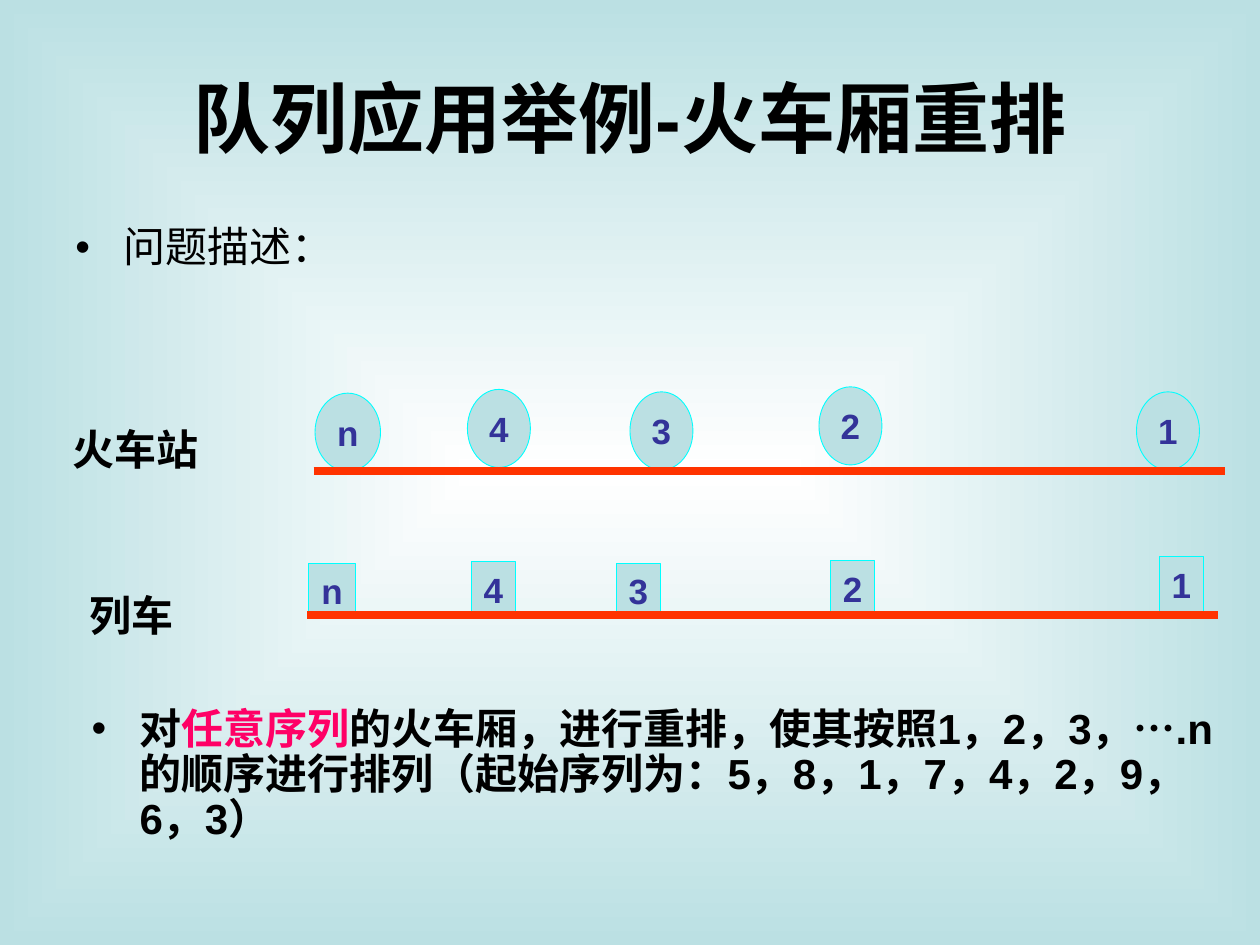
import dataclasses

import pptx
import pptx.dml.color
import pptx.enum.shapes
import pptx.enum.text
import pptx.oxml
import pptx.oxml.ns
import pptx.shapes.base
import pptx.slide
import pptx.text.text
import pptx.util
from lxml import etree

EMU_PER_PX = 9144
FONT = "Arial"
COLORS = {
    "black": "000000",
    "pink": "FF0066",
    "indigo": "333399",
    "cyan": "00FFFF",
    "pale": "BBE0E3",
    "white": "FFFFFF",
    "track": "FF3300",
}
RECTANGLE = pptx.enum.shapes.MSO_SHAPE.RECTANGLE
OVAL = pptx.enum.shapes.MSO_SHAPE.OVAL
CENTER = pptx.enum.text.PP_ALIGN.CENTER
MIDDLE = pptx.enum.text.MSO_ANCHOR.MIDDLE
GROW = pptx.enum.text.MSO_AUTO_SIZE.SHAPE_TO_FIT_TEXT


@dataclasses.dataclass(frozen=True)
class Box:
    left: int
    top: int
    width: int
    height: int


@dataclasses.dataclass(frozen=True)
class Car:
    label: str
    box: Box


@dataclasses.dataclass(frozen=True)
class Train:
    outline: pptx.enum.shapes.MSO_SHAPE
    cars: tuple[Car, ...]
    track_left: int
    track_top: int


@dataclasses.dataclass(frozen=True)
class TextRun:
    text: str
    size: int
    color: str = "black"
    bold: bool = True


TRACK_LENGTH = 723
TRAINS = (
    Train(RECTANGLE, (
        Car("n", Box(245, 447, 37, 44)),
        Car("4", Box(374, 446, 35, 44)),
        Car("3", Box(489, 447, 35, 44)),
        Car("2", Box(659, 445, 35, 44)),
        Car("1", Box(920, 442, 35, 44)),
    ), 244, 488),
    Train(OVAL, (
        Car("n", Box(250, 312, 52, 62)),
        Car("4", Box(371, 309, 50, 62)),
        Car("3", Box(500, 311, 50, 62)),
        Car("2", Box(650, 307, 50, 62)),
        Car("1", Box(902, 311, 50, 62)),
    ), 249, 374),
)
BULLETS = (
    (Box(50, 175, 900, 66), (TextRun("问题描述：", 24, bold=False),)),
    (Box(63, 557, 910, 144), (
        TextRun("对", 24),
        TextRun("任意序列", 24, "pink"),
        TextRun("的火车厢，进行重排，使其按照1，2，3，….n的顺序进行排列"
                "（起始序列为：5，8，1，7，4，2，9，6，3）", 24),
    )),
)
LABELS = (
    (Box(48, 331, 148, 50), "火车站"),
    (Box(61, 463, 148, 50), "列车"),
)


def px(length: int) -> pptx.util.Emu:
    return pptx.util.Emu(length * EMU_PER_PX)


def place(box: Box) -> tuple[pptx.util.Emu, ...]:
    return px(box.left), px(box.top), px(box.width), px(box.height)


def rgb(color: str) -> pptx.dml.color.RGBColor:
    return pptx.dml.color.RGBColor.from_string(COLORS[color])


def add_run(paragraph: pptx.text.text._Paragraph, text_run: TextRun) -> None:
    run = paragraph.add_run()
    run.text = text_run.text
    run.font.name = FONT
    run.font.size = pptx.util.Pt(text_run.size)
    run.font.bold = text_run.bold
    run.font.color.rgb = rgb(text_run.color)


def paint_background(slide: pptx.slide.Slide) -> None:
    slide.background.fill.gradient()
    gradient = next(slide.element.iter(pptx.oxml.ns.qn("a:gradFill")))
    replacement = pptx.oxml.parse_xml(
        f'<a:gradFill {pptx.oxml.ns.nsdecls("a")} rotWithShape="0"><a:gsLst>'
        f'<a:gs pos="0"><a:srgbClr val="{COLORS["white"]}"/></a:gs>'
        f'<a:gs pos="100000"><a:srgbClr val="{COLORS["pale"]}"/></a:gs></a:gsLst>'
        '<a:path path="rect"><a:fillToRect l="50000" t="50000" r="50000" b="50000"/>'
        '</a:path></a:gradFill>'
    )
    gradient.getparent().replace(gradient, replacement)


def write_title(slide: pptx.slide.Slide) -> None:
    title = slide.shapes.title
    title.left, title.top, title.width, title.height = place(Box(50, 30, 900, 125))
    title.text_frame.vertical_anchor = MIDDLE
    paragraph = title.text_frame.paragraphs[0]
    paragraph.alignment = CENTER
    add_run(paragraph, TextRun("队列应用举例-火车厢重排", 44))


def add_text(slide: pptx.slide.Slide, box: Box, runs: tuple[TextRun, ...],
             space_before: int) -> pptx.shapes.base.BaseShape:
    shape = slide.shapes.add_textbox(*place(box))
    shape.text_frame.word_wrap = True
    paragraph = shape.text_frame.paragraphs[0]
    paragraph.space_before = pptx.util.Pt(space_before)
    for text_run in runs:
        add_run(paragraph, text_run)
    return shape


def add_bullet(slide: pptx.slide.Slide, box: Box, runs: tuple[TextRun, ...]) -> None:
    paragraph = add_text(slide, box, runs, 6).text_frame.paragraphs[0]
    paragraph.line_spacing = 0.9
    properties = paragraph._p.get_or_add_pPr()
    properties.set("marL", str(px(38)))
    properties.set("indent", str(-px(38)))
    bullet_color = etree.SubElement(properties, pptx.oxml.ns.qn("a:buClr"))
    etree.SubElement(bullet_color, pptx.oxml.ns.qn("a:srgbClr"), val=COLORS["black"])
    etree.SubElement(properties, pptx.oxml.ns.qn("a:buFont"), typeface=FONT)
    etree.SubElement(properties, pptx.oxml.ns.qn("a:buChar"), char="•")


def add_train(slide: pptx.slide.Slide, train: Train) -> None:
    group = slide.shapes.add_group_shape()
    for car in train.cars:
        shape = group.shapes.add_shape(train.outline, *place(car.box))
        shape.shadow.inherit = False
        shape.fill.solid()
        shape.fill.fore_color.rgb = rgb("pale")
        shape.line.color.rgb = rgb("cyan")
        shape.line.width = pptx.util.Pt(0.5)
        frame = shape.text_frame
        frame.word_wrap = False
        frame.auto_size = GROW
        frame.vertical_anchor = MIDDLE
        frame.paragraphs[0].alignment = CENTER
        add_run(frame.paragraphs[0], TextRun(car.label, 20, "indigo"))
    track = group.shapes.add_connector(
        pptx.enum.shapes.MSO_CONNECTOR.STRAIGHT, px(train.track_left), px(train.track_top),
        px(train.track_left + TRACK_LENGTH), px(train.track_top))
    track.line.color.rgb = rgb("track")
    track.line.width = pptx.util.Pt(4.5)
    etree.SubElement(track._element.spPr, pptx.oxml.ns.qn("a:effectLst"))


def main() -> None:
    presentation = pptx.Presentation()
    presentation.slide_width, presentation.slide_height = px(1000), px(750)
    slide = presentation.slides.add_slide(presentation.slide_layouts[5])
    paint_background(slide)
    write_title(slide)
    for train in TRAINS:
        add_train(slide, train)
    for box, runs in BULLETS:
        add_bullet(slide, box, runs)
    for box, label in LABELS:
        add_text(slide, box, (TextRun(label, 24),), 15).text_frame.auto_size = GROW
    presentation.save("out.pptx")


if __name__ == "__main__":
    main()
